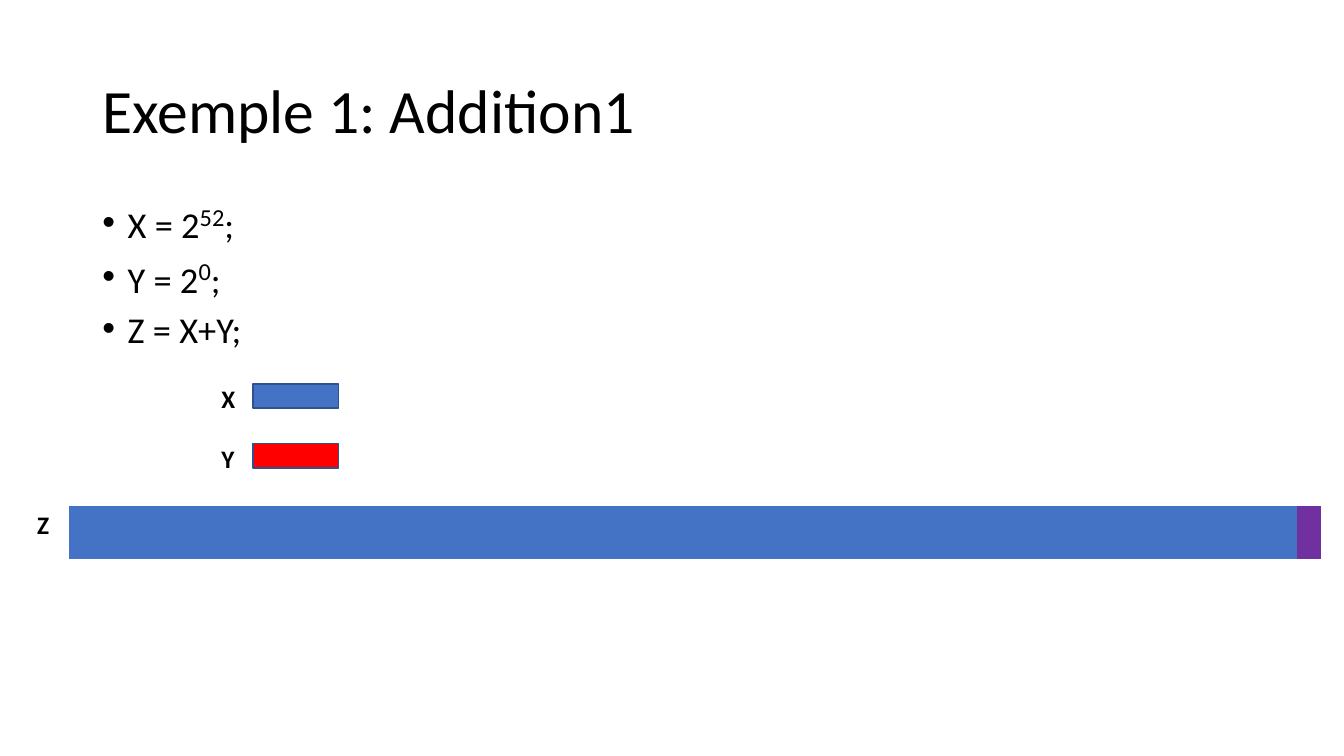
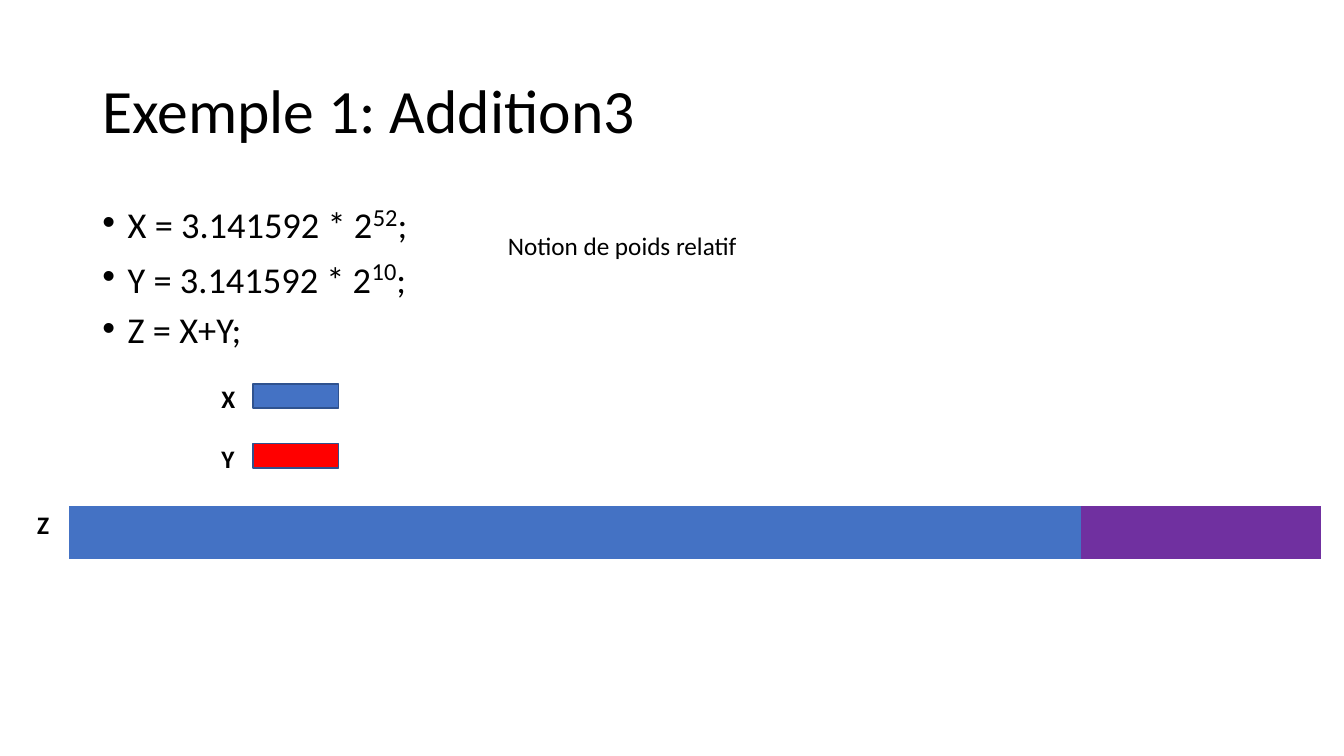
from pptx import Presentation
from pptx.dml.color import RGBColor
from pptx.enum.shapes import MSO_SHAPE
from pptx.enum.text import MSO_ANCHOR, MSO_AUTO_SIZE, PP_ALIGN
from pptx.oxml import parse_xml
from pptx.oxml.ns import nsdecls
from pptx.util import Pt

RECTANGLE = MSO_SHAPE.RECTANGLE
LEFT, MIDDLE, NO_FIT = PP_ALIGN.LEFT, MSO_ANCHOR.MIDDLE, MSO_AUTO_SIZE.NONE

BLACK = RGBColor(0x00, 0x00, 0x00)
BLUE = RGBColor(0x44, 0x72, 0xC4)
RED = RGBColor(0xFF, 0x00, 0x00)
PURPLE = RGBColor(0x70, 0x30, 0xA0)
OUTLINE = RGBColor(0x2F, 0x52, 0x8F)
FONT = "Calibri"
NO_STYLE = "{2D5ABB26-0587-4C30-8999-92F81FD0307C}"

# Content: each formula is (base, exponent, ending)
SLIDES = [
    {
        "title": "Exemple 1: Addition1",
        "formulas": [("X = 2", "52", ";"), ("Y = 2", "0", ";"), ("Z = X+Y;", "", "")],
        "shared_bits": 1,
        "note": "",
    },
    {
        "title": "Exemple 1: Addition3",
        "formulas": [("X = 3.141592 * 2", "52", ";"),
                     ("Y = 3.141592 * 2", "10", ";"),
                     ("Z = X+Y;", "", "")],
        "shared_bits": 10,
        "note": "Notion de poids relatif",
    },
]
LEGEND = [("X", BLUE), ("Y", RED)]

# Geometry, in points
MARGIN, TEXT_W, TEXT_H = 66, 828, 104.4
BITS, BIT_W, BIT_H = 52, 17.22, 40.3
LEGEND_TOP, LEGEND_STEP = 270, 42.8


def place(sp, left, top, width, height):
    sp.left, sp.top, sp.width, sp.height = Pt(left), Pt(top), Pt(width), Pt(height)


def add_run(p, text, size, bold=False, superscript=False):
    r = p.add_run()
    r.text = text
    r.font.name, r.font.size, r.font.bold = FONT, Pt(size), bold
    r.font.color.rgb = BLACK
    if superscript:
        r._r.get_or_add_rPr().set("baseline", "30000")


def add_title(s, text):
    sp = s.shapes.title
    place(sp, MARGIN, 28.8, TEXT_W, TEXT_H)
    tf = sp.text_frame
    tf.auto_size, tf.vertical_anchor = NO_FIT, MIDDLE
    p = tf.paragraphs[0]
    p.alignment, p.line_spacing = LEFT, 0.9
    add_run(p, text, 44)


def add_formulas(s, formulas):
    sp = s.placeholders[1]
    place(sp, MARGIN, 144, TEXT_W, TEXT_H)
    tf = sp.text_frame
    tf.auto_size = NO_FIT
    for i, (base, exponent, ending) in enumerate(formulas):
        p = tf.add_paragraph() if i else tf.paragraphs[0]
        p.line_spacing, p.space_before = 0.8, Pt(10 if i else 0)
        pPr = p._p.get_or_add_pPr()
        pPr.set("marL", str(Pt(18)))
        pPr.set("indent", str(Pt(-18)))
        add_run(p, base, 26)
        if exponent:
            add_run(p, exponent, 30, superscript=True)
            add_run(p, ending, 26)


def add_label(s, text, left, top, width, bold=True):
    tf = s.shapes.add_textbox(Pt(left), Pt(top), Pt(width), Pt(29)).text_frame
    tf.word_wrap = False
    add_run(tf.paragraphs[0], text, 18, bold)


def add_legend(s):
    for i, (name, color) in enumerate(LEGEND):
        top = LEGEND_TOP + i * LEGEND_STEP
        add_label(s, name, 151, top, 24.5)
        sp = s.shapes.add_shape(RECTANGLE, Pt(180.7), Pt(top + 4.2), Pt(61.2), Pt(17.4))
        sp.shadow.inherit = False
        sp.fill.solid()
        sp.fill.fore_color.rgb = color
        sp.line.color.rgb, sp.line.width = OUTLINE, Pt(1)


def add_bits(s, shared_bits):
    table = s.shapes.add_table(1, BITS, Pt(49.2), Pt(361.4),
                               Pt(BITS * BIT_W), Pt(BIT_H)).table
    table.first_row = table.horz_banding = False
    table._tbl.tblPr[0].text = NO_STYLE
    for i, column in enumerate(table.columns):
        column.width = Pt(BIT_W)
        cell = table.cell(0, i)
        cell.margin_left = cell.margin_right = 0
        cell.fill.solid()
        cell.fill.fore_color.rgb = PURPLE if i >= BITS - shared_bits else BLUE
        cell._tc.tcPr.insert(0, parse_xml(
            f'<a:lnB {nsdecls("a")} w="{Pt(6)}"><a:solidFill>'
            '<a:srgbClr val="FFFFFF"/></a:solidFill></a:lnB>'))


def main():
    prs = Presentation()
    prs.slide_width, prs.slide_height = Pt(960), Pt(540)
    for content in SLIDES:
        s = prs.slides.add_slide(prs.slide_layouts[1])
        add_title(s, content["title"])
        add_formulas(s, content["formulas"])
        add_bits(s, content["shared_bits"])
        add_legend(s)
        add_label(s, "Z", 19.4, 360, 23)
        if content["note"]:
            add_label(s, content["note"], 355.7, 160.6, 180, bold=False)
    prs.save("out.pptx")


if __name__ == "__main__":
    main()
